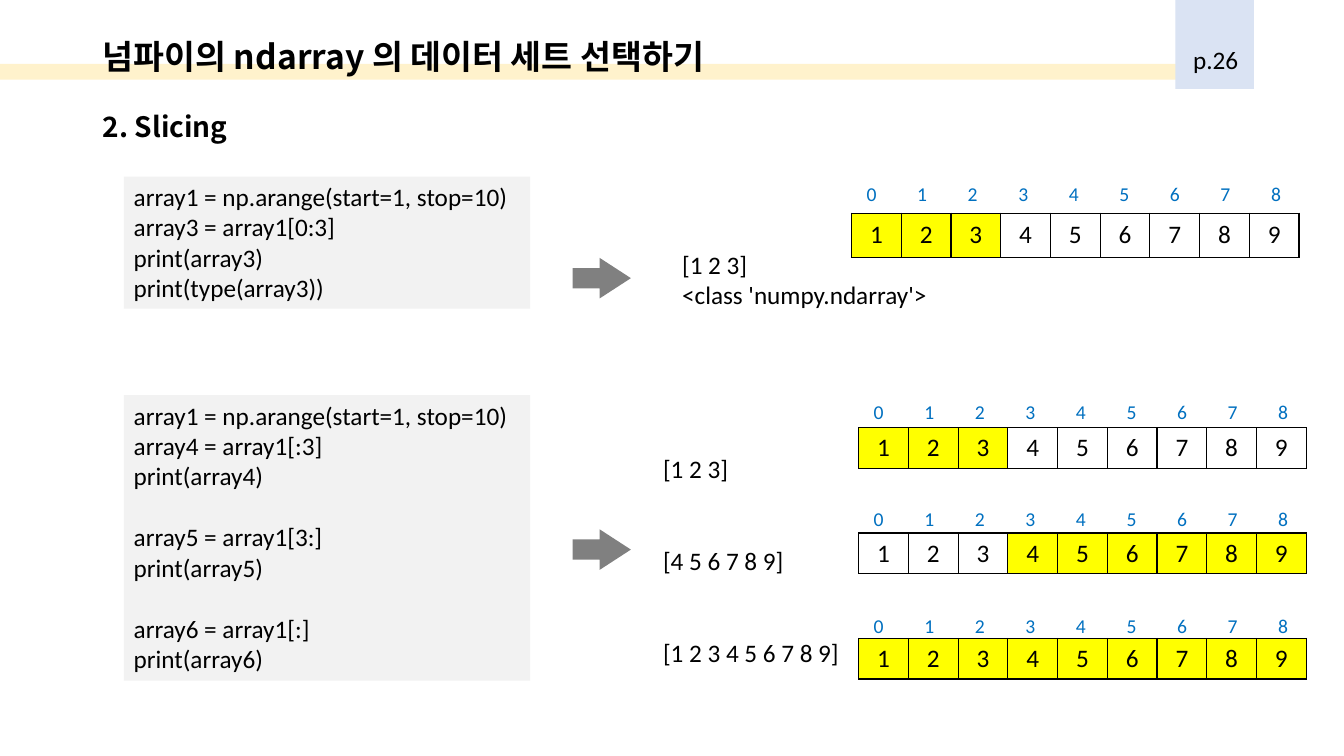
"""Builds the slide on slicing a numpy ndarray."""
from lxml import etree
from pptx import Presentation
from pptx.dml.color import RGBColor
from pptx.enum.shapes import MSO_SHAPE
from pptx.enum.text import MSO_ANCHOR, PP_ALIGN
from pptx.oxml import parse_xml
from pptx.oxml.ns import qn
from pptx.util import Cm, Pt

RECTANGLE = MSO_SHAPE.RECTANGLE
RIGHT_ARROW = MSO_SHAPE.RIGHT_ARROW
TOP, MIDDLE, BOTTOM = MSO_ANCHOR.TOP, MSO_ANCHOR.MIDDLE, MSO_ANCHOR.BOTTOM
LEFT, CENTER = PP_ALIGN.LEFT, PP_ALIGN.CENTER
BODY_FONT, HEADING_FONT = "Calibri", "Noto Sans CJK KR"
LINE_HEIGHT = 22
NAMESPACE = "http://schemas.openxmlformats.org/drawingml/2006/main"
BORDER = (
    '<a:{side} xmlns:a="{namespace}" w="12700"><a:solidFill>'
    '<a:srgbClr val="000000"/></a:solidFill></a:{side}>'
)


def write(frame, text, size=18, color="000000", font=BODY_FONT, align=LEFT):
    """Write lines into a frame; an empty line becomes space before the next one."""
    gap = 0
    paragraph = frame.paragraphs[0]
    for line in text.split("\n"):
        if not line:
            gap += LINE_HEIGHT
            continue
        if paragraph.runs:
            paragraph = frame.add_paragraph()
            paragraph.space_before = Pt(gap)
        gap = 0
        run = paragraph.add_run()
        run.text = line
        paragraph.alignment = align
        paragraph.font.size = Pt(size)
        paragraph.font.name = font
        paragraph.font.color.rgb = RGBColor.from_string(color)
        if font == HEADING_FONT:
            paragraph.font.bold = True
            paragraph.line_spacing = 0.9
            east_asian = etree.SubElement(run._r.get_or_add_rPr(), qn("a:ea"))
            east_asian.set("typeface", font)


def add_block(kind, left, top, width, height, fill):
    """Add a plain filled shape without outline or shadow."""
    shape = slide.shapes.add_shape(kind, Cm(left), Cm(top), Cm(width), Cm(height))
    shape.shadow.inherit = False
    shape.fill.solid()
    shape.fill.fore_color.rgb = RGBColor.from_string(fill)
    shape.line.fill.background()
    return shape


presentation = Presentation()
presentation.slide_width = Cm(33.87)
presentation.slide_height = Cm(19.05)
slide = presentation.slides.add_slide(presentation.slide_layouts[6])

add_block(RECTANGLE, 0, 1.61, 31.55, 0.4, "FFF2CC")
add_block(RECTANGLE, 29.62, 0, 1.98, 2.24, "DAE3F3")

headings = [
    ("넘파이의 ndarray 의 데이터 세트 선택하기", 1.02, 27.23, 0.89, 24, MIDDLE),
    ("2. Slicing", 2.74, 29.21, 1.32, 20, TOP),
]
for text, top, width, height, size, anchor in headings:
    heading = slide.shapes.add_textbox(Cm(2.34), Cm(top), Cm(width), Cm(height))
    heading.text_frame.word_wrap = True
    heading.text_frame.vertical_anchor = anchor
    write(heading.text_frame, text, size, font=HEADING_FONT)

code_blocks = [
    (4.45, 3.33, """array1 = np.arange(start=1, stop=10)
array3 = array1[0:3]
print(array3)
print(type(array3))"""),
    (9.96, 7.19, """array1 = np.arange(start=1, stop=10)
array4 = array1[:3]
print(array4)

array5 = array1[3:]
print(array5)

array6 = array1[:]
print(array6)"""),
]
for top, height, code in code_blocks:
    block = add_block(RECTANGLE, 3.12, top, 10.24, height, "F2F2F2")
    block.text_frame.vertical_anchor = TOP
    write(block.text_frame, code)

for top in (6.5, 13.34):
    arrow = add_block(RIGHT_ARROW, 14.43, top, 1.47, 1.02, "808080")
    arrow.adjustments[1] = 0.77

labels = [
    ("[1 2 3]\n<class 'numpy.ndarray'>", 16.94, 6.12, 6.73, 1.8),
    ("[1 2 3]\n\n\n[4 5 6 7 8 9]\n\n\n[1 2 3 4 5 6 7 8 9]", 16.46, 9.75, 5, 7.19),
    ("p.26", 29.82, 0.99, 1.65, 1.02),
]
for text, left, top, width, height in labels:
    label = slide.shapes.add_textbox(Cm(left), Cm(top), Cm(width), Cm(height))
    label.text_frame.word_wrap = False
    label.text_frame.vertical_anchor = BOTTOM
    write(label.text_frame, text)

arrays = [
    (21.46, 5.37, 1.12, 4.47, range(0, 3)),
    (21.64, 10.78, 1.02, 9.96, range(0, 3)),
    (21.64, 13.43, 1.02, 12.65, range(3, 9)),
    (21.64, 16.09, 1.02, 15.34, range(0, 9)),
]
for left, top, height, index_top, selected in arrays:
    frame = slide.shapes.add_table(1, 9, Cm(left), Cm(top), Cm(11.28), Cm(height))
    table = frame.table
    table.first_row = False
    table.horz_banding = False
    for index in range(9):
        cell = table.cell(0, index)
        for side in ("lnL", "lnR", "lnT", "lnB"):
            border = BORDER.format(side=side, namespace=NAMESPACE)
            cell._tc.get_or_add_tcPr().append(parse_xml(border))
        cell.fill.solid()
        fill = "FFFF00" if index in selected else "FFFFFF"
        cell.fill.fore_color.rgb = RGBColor.from_string(fill)
        cell.vertical_anchor = MIDDLE
        write(cell.text_frame, str(index + 1), align=CENTER)

    indices = slide.shapes.add_textbox(
        Cm(left + 0.13), Cm(index_top), Cm(12.09), Cm(0.86))
    indices.text_frame.word_wrap = False
    write(indices.text_frame, "012345678", 14, "0070C0")
    run = indices.text_frame.paragraphs[0].runs[0]
    run._r.get_or_add_rPr().set("spc", "2900")

presentation.save("out.pptx")
